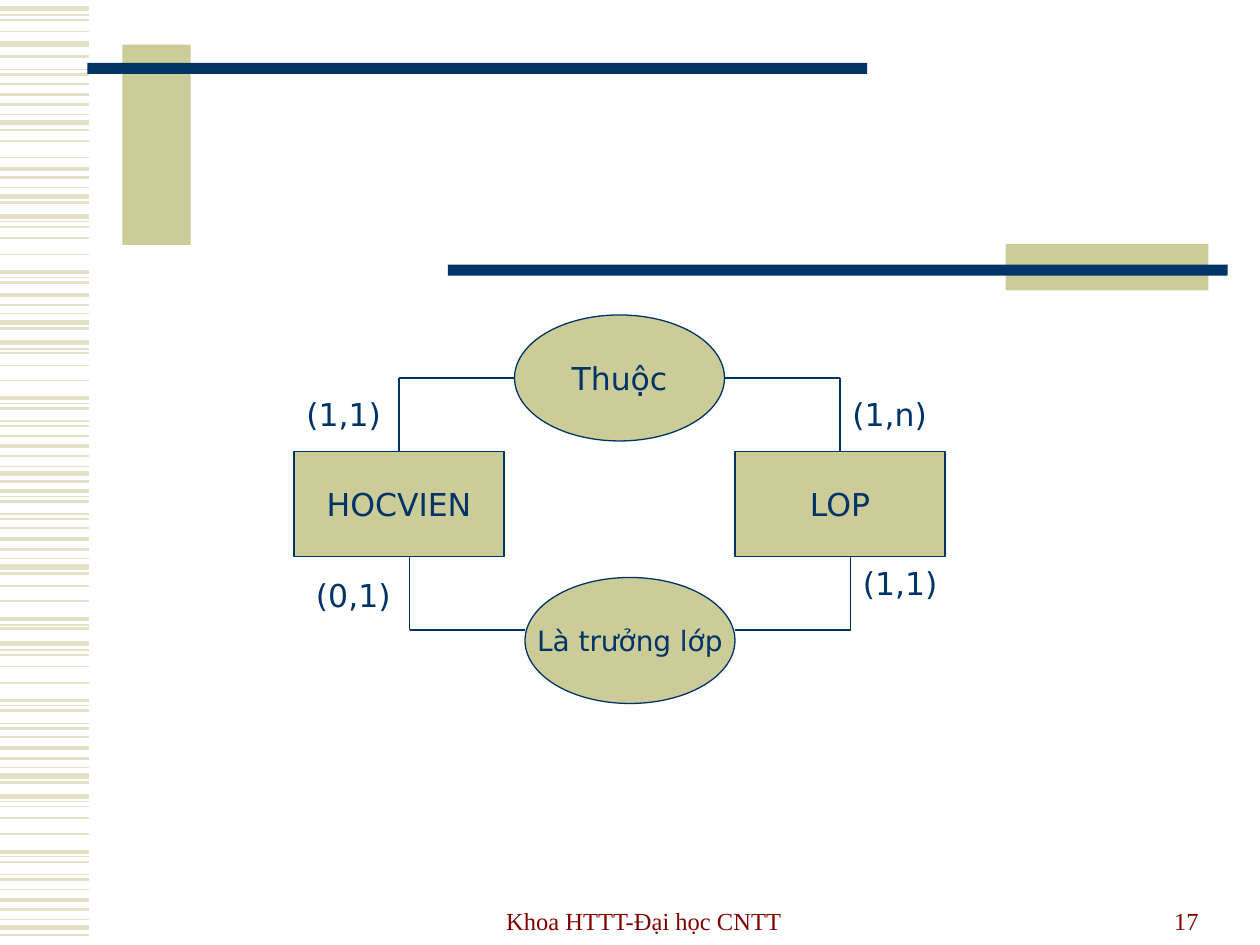
from lxml import etree
from pptx import Presentation
from pptx.dml.color import RGBColor
from pptx.enum import shapes, text
from pptx.oxml import ns
from pptx.util import Pt

NAVY = RGBColor(0x00, 0x33, 0x66)
SAND = RGBColor(0xCC, 0xCC, 0x99)
PALE = RGBColor(0xE3, 0xE2, 0xC7)
WINE = RGBColor(0x80, 0x00, 0x00)

RECT = shapes.MSO_SHAPE.RECTANGLE
OVAL = shapes.MSO_SHAPE.OVAL
ALIGN = text.PP_ALIGN
ANCHOR = text.MSO_ANCHOR

# Stripe weight -> heights of the stripes on the left edge
STRIPES = {
    3: [5, 25.2, 69.8, 112.3, 123.8, 184.3, 195.8, 270.7, 324, 367.9,
        443.5, 455, 529.9],
    2.25: [54, 96.5, 155.5, 168.5, 227.5, 254.9, 280.8, 308.2, 353.5,
           400.3, 427.7, 486.7, 514.1],
    1.5: [32.4, 42.5, 59.8, 74.2, 101.5, 115.9, 161.3, 174.2, 187.9,
          233.3, 243.4, 260.6, 275, 286.6, 296.6, 313.9, 327.6, 359.3,
          406.1, 416.2, 433.4, 447.1, 492.5, 502.6, 519.8, 534.2],
    1: [11.5, 18, 48.2, 80.6, 90, 129.6, 136.1, 145.4, 201.6, 208.8,
        217.4, 249.1, 301.7, 334.8, 343.4, 374.4, 380.9, 390.2, 421.2,
        460.8, 467.3, 476.6, 508.3],
    0.75: [8.6, 39.6, 65.5, 107.3, 126.7, 158.4, 179.3, 199.4, 230.4,
           240.5, 266.4, 283.7, 293.8, 319, 357.1, 371.5, 403.2, 413.3,
           438.5, 457.9, 489.6, 499.7, 525.6],
}
STRIPE_W = 51

BARS = [
    ((70, 25.6, 39, 114.4), SAND),
    ((50, 36, 445.5, 6.3), NAVY),
    ((574.6, 139.4, 116, 26.6), SAND),
    ((256, 151.3, 445.5, 6.3), NAVY),
]

WIDE = 120
ENTITY_TOP, ENTITY_H, OVAL_H = 258, 60, 72
ENTITIES = [("HOCVIEN", 168), ("LOP", 420)]
# Name, left, top, text size, height of its arms, entity edge they reach
LINKS = [
    ("Thuộc", 294, 180, 18, 216, ENTITY_TOP),
    ("Là trưởng lớp", 300, 330, 16, 360, ENTITY_TOP + ENTITY_H),
]
ARM = 66
COUNTS = [("(1,1)", 168, 222), ("(1,n)", 480, 222),
          ("(0,1)", 173.5, 325.5), ("(1,1)", 486, 319)]
FOOT = [("Khoa HTTT-Đại học CNTT", 246.4, 243, ALIGN.CENTER),
        ("17", 519, 173, ALIGN.RIGHT)]

prs = Presentation()
prs.slide_width, prs.slide_height = Pt(720), Pt(540)
page = prs.slides.add_slide(prs.slide_layouts[6]).shapes


def write(shape, words, size=18, font="DejaVu Sans", color=NAVY,
          align=ALIGN.CENTER, anchor=ANCHOR.MIDDLE, wrap=False):
    frame = shape.text_frame
    frame.word_wrap = wrap
    frame.vertical_anchor = anchor
    par = frame.paragraphs[0]
    par.alignment = align
    run = par.add_run()
    run.text = words
    run.font.size = Pt(size)
    run.font.name = font
    run.font.color.rgb = color


def line(x1, y1, x2, y2, color=NAVY, weight=0.75):
    item = page.add_connector(shapes.MSO_CONNECTOR.STRAIGHT,
                              Pt(x1), Pt(y1), Pt(x2), Pt(y2))
    item.line.color.rgb = color
    item.line.width = Pt(weight)
    etree.SubElement(item._element.spPr, ns.qn("a:effectLst"))


def block(kind, box, fill, edge=None):
    item = page.add_shape(kind, *map(Pt, box))
    item.shadow.inherit = False
    item.fill.solid()
    item.fill.fore_color.rgb = fill
    if edge is None:
        item.line.fill.background()
    else:
        item.line.color.rgb = edge
        item.line.width = Pt(0.75)
    return item


def label(words, box, **style):
    write(page.add_textbox(*map(Pt, box)), words, wrap=True, **style)


for weight, rows in STRIPES.items():
    for y in rows:
        line(0, y, STRIPE_W, y, PALE, weight)

for box, fill in BARS:
    block(RECT, box, fill)

for name, x in ENTITIES:
    write(block(RECT, (x, ENTITY_TOP, WIDE, ENTITY_H), SAND, NAVY), name)

for name, x, y, size, mid, edge in LINKS:
    write(block(OVAL, (x, y, WIDE, OVAL_H), SAND, NAVY), name, size=size)
    for near, far in ((x, x - ARM), (x + WIDE, x + WIDE + ARM)):
        line(near, mid, far, mid)
        line(far, mid, far, edge)

for words, x, y in COUNTS:
    label(words, (x, y, 72, 28.8), align=ALIGN.LEFT, anchor=ANCHOR.TOP)

for words, x, w, align in FOOT:
    label(words, (x, 502, w, 36), size=14, font="Times New Roman",
          color=WINE, align=align, anchor=ANCHOR.BOTTOM)

prs.save("out.pptx")
